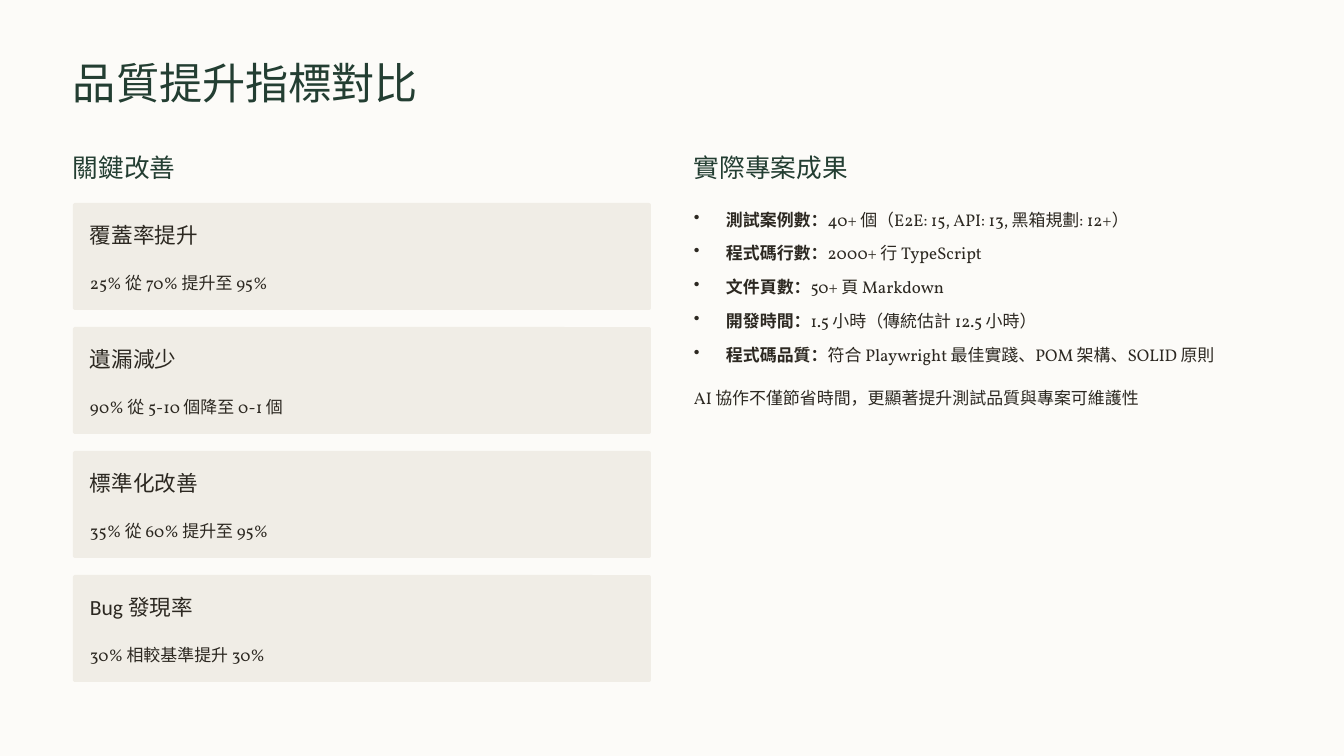
"""Build the slide that compares quality improvement metrics."""
from lxml.etree import SubElement
from pptx import Presentation
from pptx.dml.color import RGBColor
from pptx.enum.shapes import MSO_SHAPE as Shape
from pptx.enum.text import MSO_ANCHOR as Anchor, MSO_AUTO_SIZE as AutoSize, PP_ALIGN as Align
from pptx.oxml.ns import qn
from pptx.util import Emu, Pt

COLORS = {"paper": "FCFBF8", "card": "F0EDE6", "green": "233E32", "ink": "2C2821"}
STYLES = {
    "title": {"size": 37, "line": 46, "font": "Calibri", "color": "green"},
    "heading": {"size": 22, "line": 27.5, "font": "Calibri", "color": "green"},
    "card": {"size": 18.5, "line": 23, "font": "Calibri", "color": "ink"},
    "body": {"size": 14.5, "line": 23.5, "font": "Vollkorn", "color": "ink"},
}
FRAME = {"margin_left": 0, "margin_top": 0, "margin_right": 0, "margin_bottom": 0,
         "word_wrap": True, "auto_size": AutoSize.NONE, "vertical_anchor": Anchor.TOP}
LEFT, RIGHT, COLUMN, INDENT = 73, 694, 578, 32
CARDS = [
    ("覆蓋率提升", "25% 從 70% 提升至 95%"),
    ("遺漏減少", "90% 從 5-10 個降至 0-1 個"),
    ("標準化改善", "35% 從 60% 提升至 95%"),
    ("Bug 發現率", "30% 相較基準提升 30%"),
]
RESULTS = [
    ("測試案例數：", "40+ 個（E2E: 15, API: 13, 黑箱規劃: 12+）"),
    ("程式碼行數：", "2000+ 行 TypeScript"),
    ("文件頁數：", "50+ 頁 Markdown"),
    ("開發時間：", "1.5 小時（傳統估計 12.5 小時）"),
    ("程式碼品質：", "符合 Playwright 最佳實踐、POM 架構、SOLID 原則"),
]


def px(*lengths):
    return [Emu(round(length * 914400 / 84)) for length in lengths]


def write(shape, style_name, runs, bullet=False):
    style = STYLES[style_name]
    for name, value in FRAME.items():
        setattr(shape.text_frame, name, value)
    paragraph = shape.text_frame.paragraphs[0]
    if bullet:
        properties = paragraph._p.get_or_add_pPr()
        indent = px(INDENT)[0]
        properties.set("marL", str(indent))
        properties.set("indent", str(-indent))
        SubElement(properties, qn("a:buChar")).set("char", "•")
    paragraph.alignment = Align.LEFT
    paragraph.line_spacing = Pt(style["line"])
    paragraph.space_before = Pt(0)
    for text, bold in runs:
        run = paragraph.add_run()
        run.text = text
        for name, value in {"size": Pt(style["size"]), "name": style["font"], "bold": bold}.items():
            setattr(run.font, name, value)
        run.font.color.rgb = RGBColor.from_string(COLORS[style["color"]])


presentation = Presentation()
presentation.slide_width, presentation.slide_height = px(1344, 756)
slide = presentation.slides.add_slide(presentation.slide_layouts[5])
slide.background.fill.solid()
slide.background.fill.fore_color.rgb = RGBColor.from_string(COLORS["paper"])

title = slide.shapes.title
title.left, title.top, title.width, title.height = px(LEFT, 54, 433, 54)
write(title, "title", [("品質提升指標對比", False)])

for left, heading in ((LEFT, "關鍵改善"), (RIGHT, "實際專案成果")):
    write(slide.shapes.add_textbox(*px(left, 151, 260, 33)), "heading", [(heading, False)])

for index, (label, change) in enumerate(CARDS):
    top = 203 + 124 * index
    card = slide.shapes.add_shape(Shape.ROUNDED_RECTANGLE, *px(LEFT, top, COLUMN, 107))
    card.adjustments[0] = 0.02
    card.shadow.inherit = False
    card.fill.solid()
    card.fill.fore_color.rgb = RGBColor.from_string(COLORS["card"])
    card.line.fill.background()
    write(slide.shapes.add_textbox(*px(LEFT + 17, top + 18, 217, 27)), "card", [(label, False)])
    write(slide.shapes.add_textbox(*px(LEFT + 17, top + 62, 543, 28)), "body", [(change, False)])

for index, (label, result) in enumerate(RESULTS):
    top = 202 + 135 * index // 4
    box = slide.shapes.add_textbox(*px(RIGHT, top, COLUMN, 28))
    write(box, "body", [(label, True), (result, False)], bullet=True)

summary = slide.shapes.add_textbox(*px(RIGHT, 380, COLUMN, 28))
write(summary, "body", [("AI 協作不僅節省時間，更顯著提升測試品質與專案可維護性", False)])

presentation.save("out.pptx")
